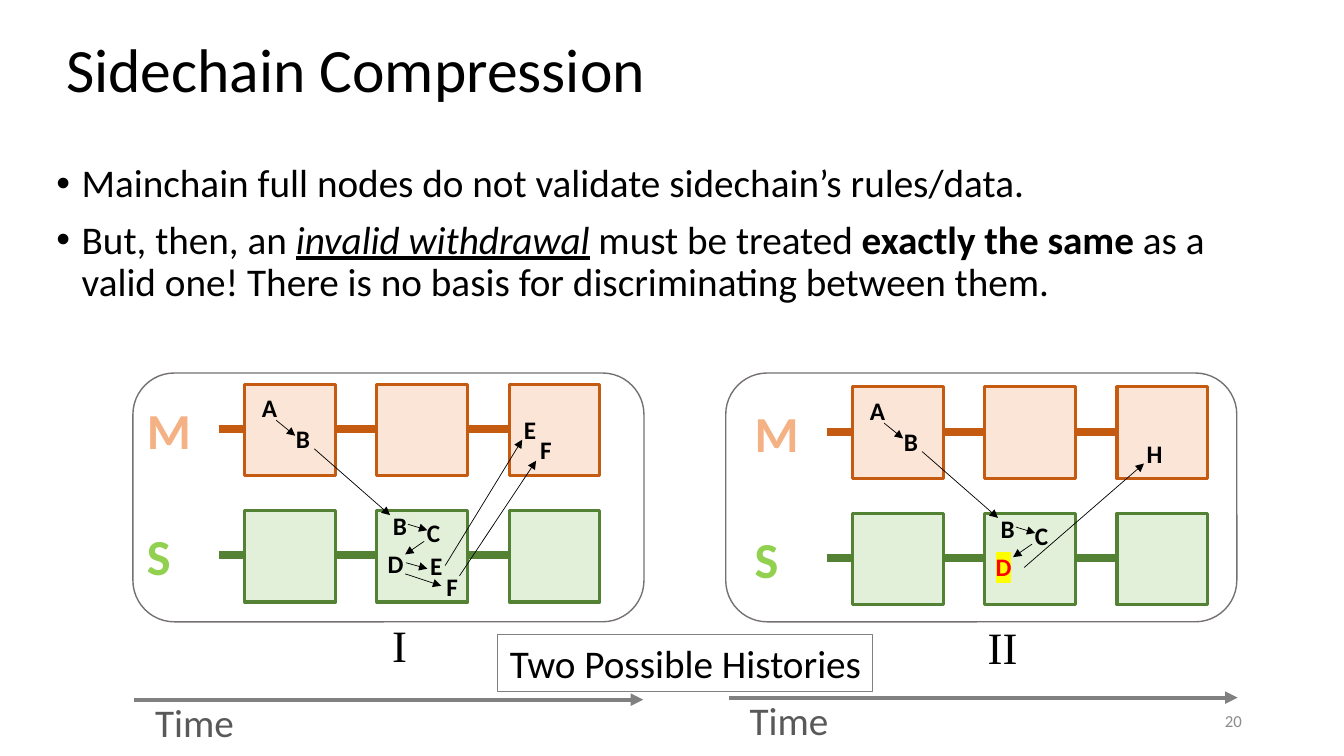
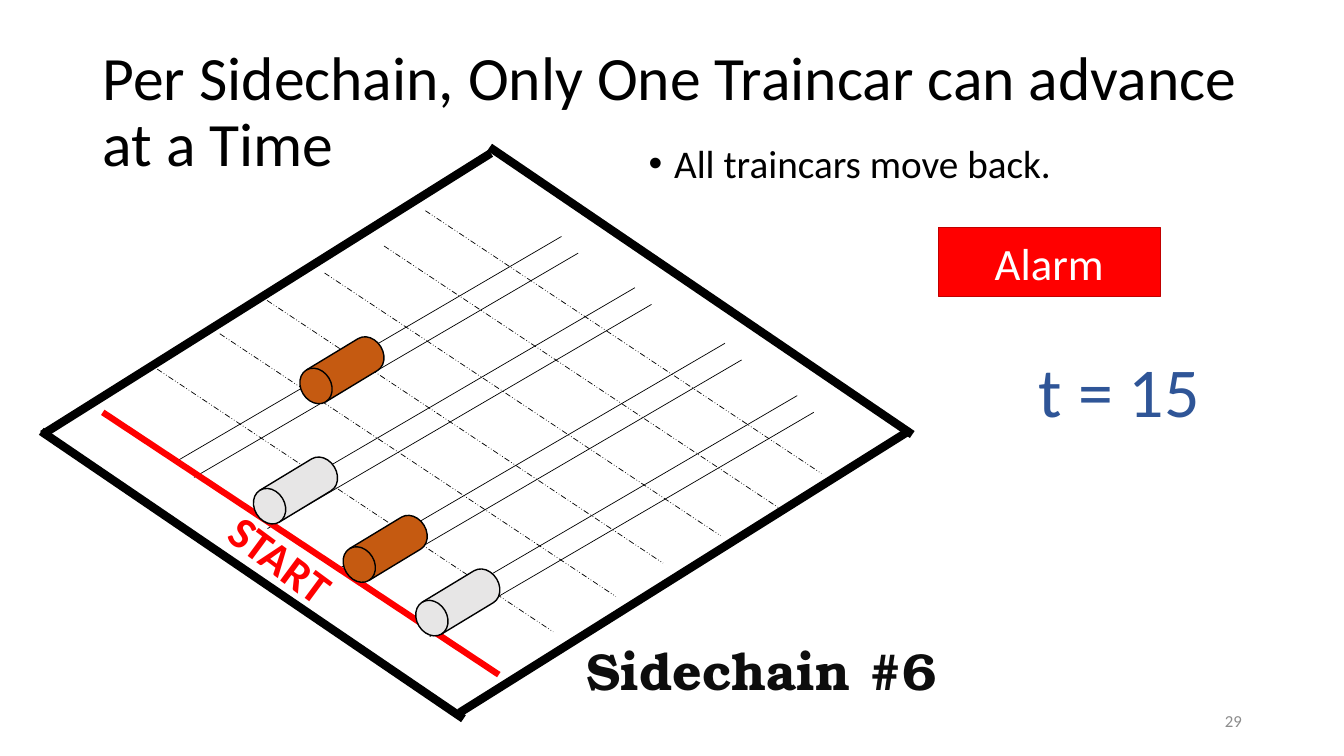
"""Build two slides on sidechain compression and traincars."""
from dataclasses import dataclass

from lxml import etree
from pptx import Presentation
from pptx import util as u
from pptx.dml.color import RGBColor
from pptx.enum import dml, shapes, text
from pptx.oxml.ns import qn


@dataclass(frozen=True)
class Theme:
    """Hold the colours, fonts and type sizes."""
    sans: str = "Calibri"
    serif: str = "Times New Roman"
    slab: str = "TeX Gyre Bonum"
    black: str = "000000"
    ink: str = "0D0D0D"
    white: str = "FFFFFF"
    red: str = "FF0000"
    maroon: str = "C00000"
    yellow: str = "FFFF00"
    rust: str = "C55A11"
    peach: str = "FBE5D6"
    orange: str = "F4B183"
    green: str = "548235"
    mint: str = "E2F0D9"
    lime: str = "92D050"
    blue: str = "2F5597"
    silver: str = "E7E6E6"
    gray: str = "808080"
    slate: str = "767171"
    dim: str = "595959"
    pale: str = "8C8C8C"
    clock: int = 50
    title: int = 44
    name: int = 37
    chain: int = 36
    head: int = 32
    body: int = 28
    small: int = 18
    foot: int = 12


T = Theme()
KINDS = shapes.MSO_SHAPE
ALIGN = text.PP_ALIGN
MID = text.MSO_ANCHOR.MIDDLE
BOX_W, BOX_H = 2.29, 2.31
COL, ROW = 3.33, 3.18
SPOTS = {
    "A": ("A", 0.18, 0.08),
    "B": ("B", 1.04, 0.86),
    "b": ("B", 3.48, 3.05),
    "c": ("C", 4.34, 3.23),
    "d": ("D", 3.35, 4.01),
    "e": ("E", 4.42, 4.06),
    "f": ("F", 4.83, 4.6),
    "E": ("E", 6.78, 0.64),
    "F": ("F", 7.19, 1.14),
    "H": ("H", 7.16, 1.17),
}
SHARED = [
    (0.79, 0.91, 1.27, 1.3),
    (1.75, 1.63, 3.66, 3.3),
    (4.11, 3.53, 4.6, 3.68),
    (4.52, 3.96, 4.04, 4.29),
]
VALID = [
    (4.06, 4.5, 4.6, 4.65),
    (4.04, 4.78, 4.95, 5.08),
    (5.05, 4.57, 6.99, 1.4),
    (5.41, 4.83, 7.34, 1.93),
]
FRAUD = [(4.32, 4.55, 7.34, 1.93)]


def cm(*nums):
    """Turn numbers into lengths."""
    return [u.Cm(n) for n in nums]


def rgb(code):
    """Turn a hex code into a colour."""
    return RGBColor.from_string(code)


def style(para, size, color=T.black, face=T.sans, bold=False):
    """Set the font of a whole paragraph."""
    font = para.font
    font.size, font.name, font.bold = u.Pt(size), face, bold
    font.color.rgb = rgb(color)


def label(slide, words, at, size, color=T.black, face=T.sans, bold=False,
          align=ALIGN.LEFT, lead=None, gap=0, anchor=None):
    """Add one paragraph of text in a box."""
    box = slide.shapes.add_textbox(*cm(*at))
    frame = box.text_frame
    frame.word_wrap = True
    if anchor is not None:
        frame.vertical_anchor = anchor
    para = frame.paragraphs[0]
    para.text, para.alignment = words, align
    para.space_before = u.Pt(gap)
    if lead:
        para.line_spacing = lead
    style(para, size, color, face, bold)
    return box


def bullets(slide, items, at):
    """Add bulleted paragraphs made of (words, marks) runs."""
    frame = slide.shapes.add_textbox(*cm(*at)).text_frame
    frame.word_wrap = True
    for i, item in enumerate(items):
        para = frame.add_paragraph() if i else frame.paragraphs[0]
        props = para._p.get_or_add_pPr()
        inset = u.Cm(0.64)
        props.set("marL", str(inset))
        props.set("indent", str(-inset))
        etree.SubElement(props, qn("a:buFont")).set("typeface", "Arial")
        etree.SubElement(props, qn("a:buChar")).set("char", "•")
        para.line_spacing, para.space_before = 0.9, u.Pt(10)
        style(para, T.body)
        for words, marks in item:
            run = para.add_run()
            run.text = words
            if "b" in marks:
                run.font.bold = True
            if "i" in marks:
                run.font.italic = run.font.underline = True


def block(slide, at, fill, line, width, kind=KINDS.RECTANGLE):
    """Add a preset shape, hollow when fill is None."""
    shape = slide.shapes.add_shape(kind, *cm(*at))
    shape.shadow.inherit = False
    if fill:
        shape.fill.solid()
        shape.fill.fore_color.rgb = rgb(fill)
    else:
        shape.fill.background()
    shape.line.color.rgb = rgb(line)
    shape.line.width = u.Pt(width)
    return shape


def write(shape, words, size, color):
    """Put one centred line into a shape."""
    shape.text_frame.vertical_anchor = MID
    para = shape.text_frame.paragraphs[0]
    para.text, para.alignment = words, ALIGN.CENTER
    style(para, size, color)


def wire(slide, ends, color=T.black, width=0.5, arrow=False, dash=None):
    """Add a straight line or arrow."""
    link = slide.shapes.add_connector(shapes.MSO_CONNECTOR.STRAIGHT, *cm(*ends))
    link.line.color.rgb = rgb(color)
    link.line.width = u.Pt(width)
    if dash:
        link.line.dash_style = dash
    props = link._element.spPr
    if arrow:
        tip = etree.SubElement(props.find(qn("a:ln")), qn("a:tailEnd"))
        tip.set("type", "triangle")
    etree.SubElement(props, qn("a:effectLst"))


def mark(box, color):
    """Highlight the text of a box."""
    run = box.text_frame.paragraphs[0].runs[0]
    glow = etree.SubElement(run._r.get_or_add_rPr(), qn("a:highlight"))
    etree.SubElement(glow, qn("a:srgbClr")).set("val", color)


def start(deck, title, left, top, page):
    """Add a slide with its title and page number."""
    slide = deck.slides.add_slide(deck.slide_layouts[6])
    label(slide, title, (left, top, 29.21, 3.68), T.title, lead=0.9, anchor=MID)
    label(slide, page, (23.93, 17.65, 7.62, 1.02), T.foot, T.pale,
          align=ALIGN.RIGHT, anchor=MID)
    return slide


def chain(slide, x, y, name, tint, fill, line):
    """Draw one named chain of three blocks."""
    wire(slide, (x - 0.66, y + 1.13, x + 6.93, y + 1.13), line, 6)
    for i in range(3):
        block(slide, (x + i * COL, y, BOX_W, BOX_H), fill, line, 2.25)
    label(slide, name, (x - 2.72, y + 0.25, 1.8, 1.8), T.chain, tint, bold=True)


def story(slide, x, y, spots, moves, bad=""):
    """Draw one history of both chains."""
    chain(slide, x, y, "M", T.orange, T.peach, T.rust)
    chain(slide, x, y + ROW, "S", T.lime, T.mint, T.green)
    for key in spots:
        word, dx, dy = SPOTS[key]
        box = label(slide, word, (x + dx, y + dy, 0.95, 1.02), T.small,
                    T.red if key == bad else T.black, bold=True)
        if key == bad:
            mark(box, T.yellow)
    for a, b, c, d in SHARED + moves:
        wire(slide, (x + a, y + b, x + c, y + d), arrow=True)


def panel(slide, left, name, spot, axis):
    """Frame a history and add its numeral and time axis."""
    block(slide, (left, 9.4, 12.88, 6.27), None, T.slate, 1,
          KINDS.ROUNDED_RECTANGLE)
    label(slide, name, (*spot, 1.5, 1.63), T.head, face=T.serif)
    x, y = axis
    wire(slide, (x, y, x + 12.83, y), T.gray, 3, arrow=True)
    label(slide, "Time", (x + 0.28, y - 0.15, 3, 1.45), T.body, T.dim)


def compress(deck):
    """Build the slide with the two histories."""
    slide = start(deck, "Sidechain Compression", 1.42, 0, "20")
    bullets(slide, [
        [("Mainchain full nodes do not validate sidechain’s rules/data.", "")],
        [("But, then, an ", ""), ("invalid withdrawal", "i"),
         (" must be treated ", ""), ("exactly the same ", "b"),
         ("as a valid one! There is no basis for discriminating "
          "between them.", "")],
    ], (1.17, 4.01, 30.4, 4.39))
    story(slide, 6.17, 9.68, "ABbcdefEF", VALID)
    story(slide, 21.49, 9.75, "ABbcdH", FRAUD, bad="d")
    panel(slide, 3.35, "I", (9.63, 15.44), (3.38, 17.63))
    panel(slide, 18.29, "II", (24.64, 15.49), (18.36, 17.58))
    note = block(slide, (12.55, 15.98, 9.45, 1.45), None, T.gray, 0.75)
    note.text_frame.word_wrap = False
    write(note, "Two Possible Histories", T.body, T.black)


def track(slide):
    """Draw the board with its rails, marks and cars."""
    rails = [(4.47, 11.61), (6.32, 12.9), (8.59, 14.3), (10.41, 15.62)]
    for x, y in rails:
        for d in (0, 0.42):
            wire(slide, (x + d, y + d, x + d + 9.68, y + d - 5.65))
    wire(slide, (2.59, 10.39, 12.57, 17), T.red, 4.5)
    steps = [(3.96, 9.3), (5.54, 8.41), (6.73, 7.57),
             (8.18, 6.88), (9.68, 6.2), (10.72, 5.31)]
    for x, y in steps:
        wire(slide, (x, y, x + 9.98, y + 6.62),
             dash=dml.MSO_LINE.DASH_DOT_DOT)
    cars = [(7.47, 8.86), (6.3, 11.89), (8.56, 13.36), (10.39, 14.71)]
    for i, (x, y) in enumerate(cars):
        car = block(slide, (x, y, 2.29, 0.94), (T.rust, T.silver)[i % 2],
                    T.black, 1, KINDS.FLOWCHART_DIRECT_ACCESS_STORAGE)
        car.rotation = 148.8
    edges = [(22.99, 10.95, 12.34, 3.71), (11.58, 17.96, 22.89, 10.87),
             (1.07, 10.95, 12.37, 3.86), (11.68, 18.11, 1.04, 10.87)]
    for edge in edges:
        wire(slide, edge, width=6)


def advance(deck):
    """Build the slide with the traincars."""
    slide = start(deck, "Per Sidechain, Only One Traincar can advance at a Time",
                  2.34, 1.02, "29")
    bullets(slide, [[("All traincars move back.", "")]],
            (16.1, 3.51, 11.15, 1.57))
    track(slide)
    sign = label(slide, "START", (5.13, 13.28, 3.91, 1.63), T.head, T.red,
                 bold=True, align=ALIGN.CENTER)
    sign.rotation = 36.5
    label(slide, "Sidechain #6", (14.53, 16.28, 11.15, 1.57), T.name, T.ink,
          T.slab, True, lead=0.8, gap=10)
    label(slide, "t = 15", (25.93, 8.86, 4.72, 2.18), T.clock, T.blue,
          lead=0.9, gap=10)
    alarm = block(slide, (23.65, 5.74, 5.59, 1.73), T.red, T.maroon, 1)
    write(alarm, "Alarm", T.head, T.white)


def main():
    """Build and save the deck."""
    deck = Presentation()
    deck.slide_width, deck.slide_height = cm(33.87, 19.05)
    compress(deck)
    advance(deck)
    deck.save("out.pptx")


if __name__ == "__main__":
    main()
